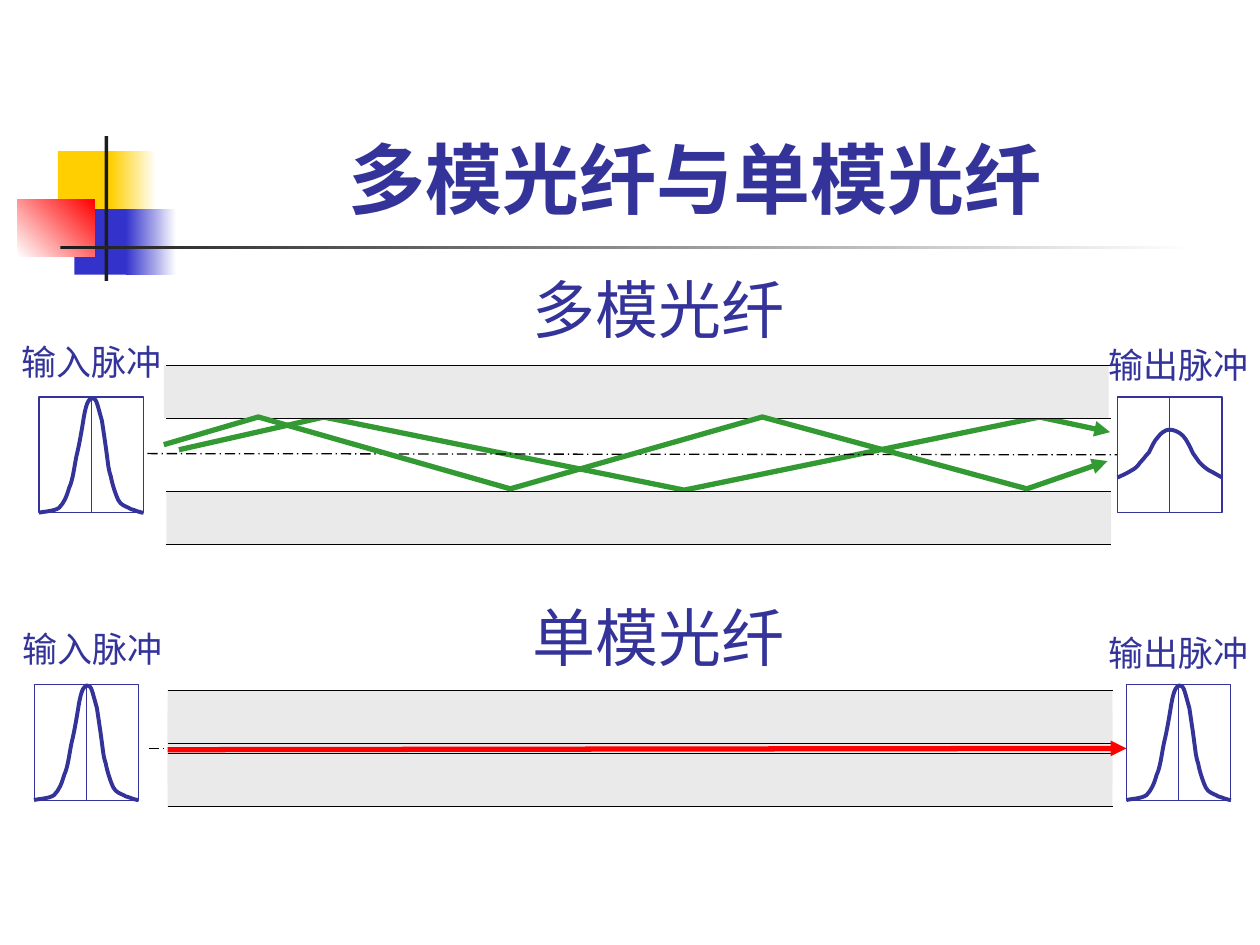
from lxml.etree import SubElement
from pptx import Presentation
from pptx.dml.color import RGBColor
from pptx.enum.dml import MSO_LINE
from pptx.enum.shapes import MSO_CONNECTOR, MSO_SHAPE
from pptx.enum.text import MSO_ANCHOR, MSO_AUTO_SIZE, PP_ALIGN
from pptx.oxml.ns import qn
from pptx.util import Inches, Pt

NAVY, BLACK, WHITE = "333399", "000000", "FFFFFF"
GOLD, BLUE, RED, INK = "FFCF01", "3333CC", "FF0000", "1C1C1C"
CLADDING, RAY = "EAEAEA", "339933"
CJK = "Noto Sans CJK SC"
FIBRE_LENGTH, CLADDING_HEIGHT = 7.5, 0.42
FRAME_WIDTH, FRAME_HEIGHT = 0.83, 0.92

# Bézier points in hundredths of an inch from the frame's corner
NARROW_PULSE = [
    (0, 92), (3, 91), (12, 91), (16, 88), (20, 84), (22, 79), (24, 72),
    (27, 66), (28, 55), (30, 46), (32, 38), (34, 26), (35, 20), (36, 13),
    (37, 9), (38, 6), (39, 3), (41, 1), (42, 1), (44, 1), (45, 2), (46, 5),
    (47, 8), (48, 12), (50, 19), (51, 26), (53, 39), (54, 47), (55, 54),
    (55, 57), (57, 63), (58, 69), (61, 78), (63, 82), (65, 86), (69, 87),
    (71, 88), (74, 90), (74, 89), (76, 90), (78, 91), (82, 92), (83, 92),
]
WIDE_PULSE = [
    (0, 64), (2, 63), (7, 61), (10, 59), (14, 57), (16, 55), (18, 52),
    (21, 49), (22, 47), (25, 44), (27, 40), (29, 35), (32, 32), (34, 29),
    (38, 26), (41, 26), (45, 26), (49, 28), (52, 31), (55, 34), (58, 41),
    (60, 45), (62, 48), (63, 49), (65, 52), (67, 54), (69, 56), (72, 58),
    (76, 60), (81, 63), (83, 64),
]


def rgb(value):
    return RGBColor.from_string(value)


def style_line(line, color, width):
    line.color.rgb = rgb(color)
    line.width = Pt(width)


def add_arrowhead(shape):
    SubElement(shape.line._get_or_add_ln(), qn("a:tailEnd"), type="triangle")


def add_rect(slide, left, top, width, height, fill):
    rect = slide.shapes.add_shape(
        MSO_SHAPE.RECTANGLE, Inches(left), Inches(top), Inches(width), Inches(height))
    rect.shadow.inherit = False
    rect.fill.solid()
    rect.fill.fore_color.rgb = rgb(fill)
    rect.line.fill.background()
    return rect


def add_gradient_rect(slide, left, top, width, height, start, end, angle=0):
    fill = add_rect(slide, left, top, width, height, start).fill
    fill.gradient()
    fill.gradient_angle = angle
    for stop, color in zip(fill.gradient_stops, (start, end)):
        stop.color.rgb = rgb(color)


def add_line(slide, x1, y1, x2, y2, color=BLACK, width=0.75):
    line = slide.shapes.add_connector(
        MSO_CONNECTOR.STRAIGHT, Inches(x1), Inches(y1), Inches(x2), Inches(y2))
    SubElement(line._element.spPr, qn("a:effectLst"))
    style_line(line.line, color, width)
    return line


def add_axis(slide, x1, y1, x2, y2):
    add_line(slide, x1, y1, x2, y2).line.dash_style = MSO_LINE.LONG_DASH_DOT


def add_path(slide, points, color, width):
    builder = slide.shapes.build_freeform(
        *(Inches(value) for value in points[0]), scale=1.0)
    builder.add_line_segments(
        [(Inches(x), Inches(y)) for x, y in points[1:]], close=False)
    outline = builder.convert_to_shape()
    outline.shadow.inherit = False
    outline.fill.background()
    style_line(outline.line, color, width)
    return outline


def add_ray(slide, points):
    add_arrowhead(add_path(slide, points, RAY, 3))


def add_curve(slide, points, color, width):
    outline = add_path(slide, points, color, width)
    segments = list(outline._element.iter(qn("a:lnTo")))
    path = segments[0].getparent()
    for start in range(0, len(segments), 3):
        bezier = SubElement(path, qn("a:cubicBezTo"))
        for segment in segments[start:start + 3]:
            bezier.append(segment[0])
            path.remove(segment)


def set_text(frame, text, size, font, bold=False):
    frame.text = text
    paragraph = frame.paragraphs[0]
    paragraph.alignment = PP_ALIGN.CENTER
    paragraph.font.name = font
    paragraph.font.size = Pt(size)
    paragraph.font.bold = bold
    paragraph.font.color.rgb = rgb(NAVY)
    SubElement(paragraph._p.pPr.find(qn("a:defRPr")), qn("a:ea"), typeface=CJK)


def add_label(slide, left, top, width, height, text, size, font):
    box = slide.shapes.add_textbox(
        Inches(left), Inches(top), Inches(width), Inches(height))
    box.text_frame.word_wrap = False
    set_text(box.text_frame, text, size, font)


def add_heading(slide, top, text):
    add_label(slide, 4.13, top, 2.2, 0.7, text, 36, "Cabin")


def add_pulse(slide, left, top, curve, border, label, label_left, label_top):
    frame = add_rect(slide, left, top, FRAME_WIDTH, FRAME_HEIGHT, WHITE)
    style_line(frame.line, NAVY, border)
    middle = left + FRAME_WIDTH / 2
    add_line(slide, middle, top, middle, top + FRAME_HEIGHT, NAVY, 0.5)
    add_curve(slide, [(left + x / 100, top + y / 100) for x, y in curve], NAVY, 2.25)
    add_label(slide, label_left, label_top, 1.31, 0.43, label, 20, CJK)


def add_fibre(slide, left, upper, lower, upper_left):
    for x, top in ((upper_left, upper), (left, lower)):
        add_rect(slide, x, top, FIBRE_LENGTH, CLADDING_HEIGHT, CLADDING)
    for top in (upper, lower):
        for y in (top, top + CLADDING_HEIGHT):
            add_line(slide, left, y, left + FIBRE_LENGTH, y)


def add_ornament(slide):
    add_rect(slide, 0.46, 1.2, 0.48, 0.52, GOLD)
    add_gradient_rect(slide, 0.88, 1.2, 0.36, 0.52, GOLD, WHITE)
    add_rect(slide, 0.59, 1.66, 0.46, 0.52, BLUE)
    add_gradient_rect(slide, 1, 1.66, 0.4, 0.52, BLUE, WHITE)
    add_gradient_rect(slide, 0.14, 1.58, 0.61, 0.46, WHITE, RED, 45)
    add_rect(slide, 0.83, 1.08, 0.03, 1.15, INK)
    add_gradient_rect(slide, 0.48, 1.95, 9, 0.03, INK, WHITE)


def add_title(slide, text):
    title = slide.shapes.title
    title.left, title.top = Inches(1.26), Inches(0.23)
    title.width, title.height = Inches(8.52), Inches(1.6)
    frame = title.text_frame
    frame.auto_size = MSO_AUTO_SIZE.NONE
    frame.vertical_anchor = MSO_ANCHOR.BOTTOM
    set_text(frame, text, 44, "Arial", bold=True)


def add_single_mode(slide):
    add_rect(slide, 1.33, 5.65, FIBRE_LENGTH, 0.58, CLADDING)
    add_fibre(slide, 1.33, 5.48, 5.98, upper_left=1.33)
    add_axis(slide, 1.18, 5.94, 8.95, 5.94)
    add_pulse(slide, 0.27, 5.43, NARROW_PULSE, 0.5, "输入脉冲", 0.08, 4.93)
    add_pulse(slide, 8.94, 5.43, NARROW_PULSE, 0.5, "输出脉冲", 8.7, 4.96)
    add_heading(slide, 4.7, "单模光纤")
    add_arrowhead(add_line(slide, 1.33, 5.95, 8.94, 5.94, RED, 3))


def add_multi_mode(slide):
    add_ray(slide, [(1.42, 3.57), (2.57, 3.31), (5.43, 3.89), (8.25, 3.31), (8.81, 3.43)])
    add_fibre(slide, 1.32, 2.9, 3.9, upper_left=1.3)
    add_axis(slide, 1.17, 3.6, 8.94, 3.61)
    add_pulse(slide, 0.31, 3.15, NARROW_PULSE, 0.75, "输入脉冲", 0.07, 2.65)
    add_pulse(slide, 8.87, 3.15, WIDE_PULSE, 0.75, "输出脉冲", 8.7, 2.68)
    add_ray(slide, [(1.3, 3.53), (2.05, 3.31), (4.05, 3.88),
                    (6.05, 3.31), (8.15, 3.88), (8.79, 3.66)])
    add_heading(slide, 2.1, "多模光纤")


def main():
    deck = Presentation()
    deck.slide_width, deck.slide_height = Inches(10), Inches(7.5)
    slide = deck.slides.add_slide(deck.slide_layouts[5])
    add_ornament(slide)
    add_title(slide, "多模光纤与单模光纤")
    add_single_mode(slide)
    add_multi_mode(slide)
    deck.save("out.pptx")


if __name__ == "__main__":
    main()
